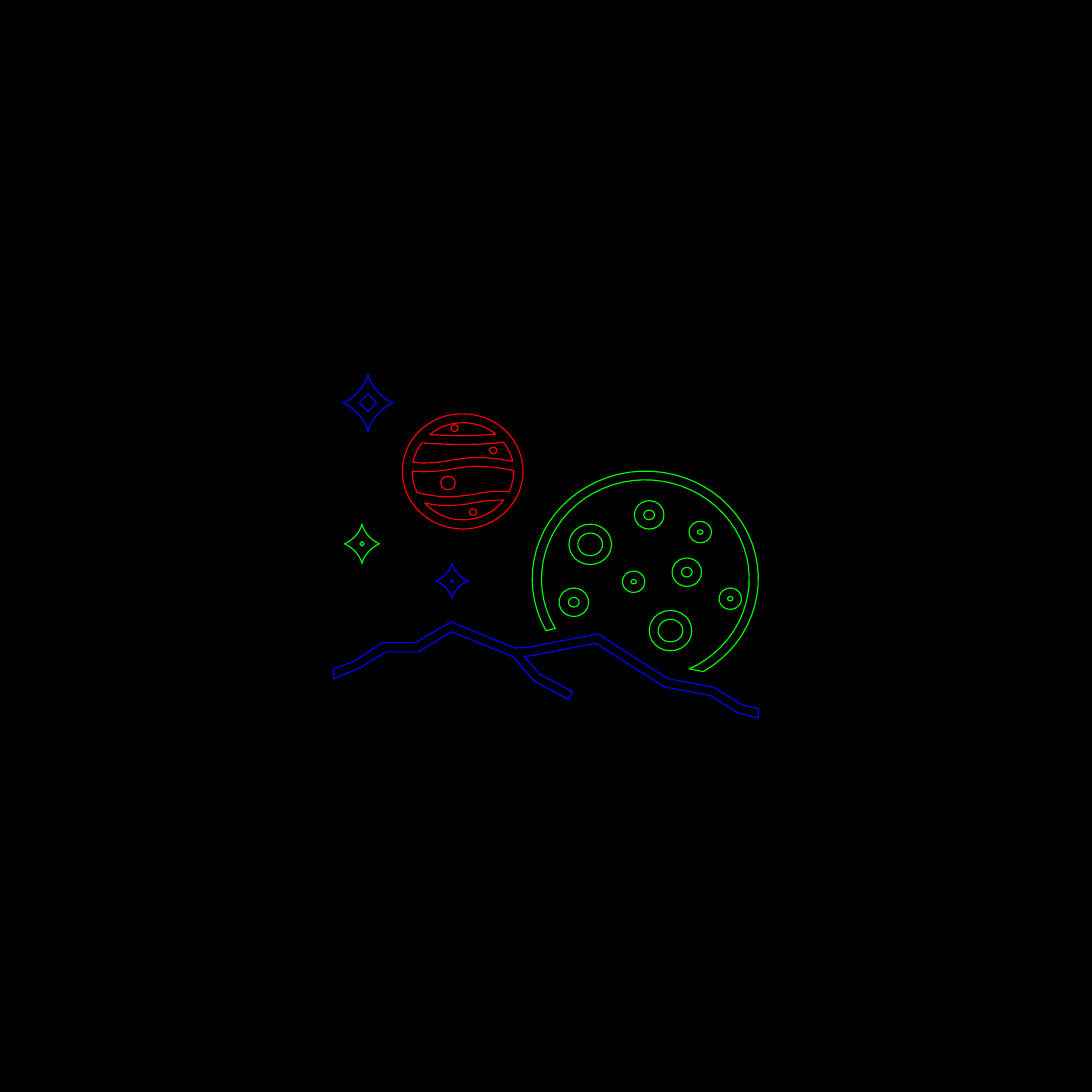
from dataclasses import dataclass
from typing import NamedTuple

from pptx import Presentation
from pptx.dml.color import RGBColor
from pptx.enum.shapes import MSO_SHAPE as Shape
from pptx.shapes.autoshape import Shape as AutoShape
from pptx.shapes.shapetree import GroupShapes
from pptx.util import Inches, Pt

BLACK = RGBColor(0x00, 0x00, 0x00)
RED = RGBColor(0xFF, 0x00, 0x00)
GREEN = RGBColor(0x00, 0xFF, 0x00)
BLUE = RGBColor(0x00, 0x00, 0xFF)
CURVE_STEPS = 16

Point = tuple[float, float]
Contour = list[tuple[float, ...]]


class CraterSize(NamedTuple):
    width: float
    height: float
    ring: float


class Crater(NamedTuple):
    left: float
    top: float
    size: CraterSize


class Spot(NamedTuple):
    left: float
    top: float
    width: float
    height: float


@dataclass
class Star:
    x: float
    y: float
    half_width: float
    half_height: float
    core: float
    color: RGBColor
    filled: bool = True


SMALL = CraterSize(0.41, 0.39, 0.4)
MEDIUM = CraterSize(0.54, 0.52, 0.33)
LARGE = CraterSize(0.78, 0.74, 0.22)

CRATERS = [
    Crater(13.17, 10.77, SMALL),
    Crater(12.62, 9.55, SMALL),
    Crater(12.31, 10.22, MEDIUM),
    Crater(11.89, 11.18, LARGE),
    Crater(11.62, 9.17, MEDIUM),
    Crater(11.4, 10.46, SMALL),
    Crater(10.42, 9.6, LARGE),
    Crater(10.24, 10.77, MEDIUM),
]
SPOTS = [
    Spot(8.97, 8.19, 0.13, 0.12),
    Spot(8.26, 7.78, 0.13, 0.12),
    Spot(8.6, 9.32, 0.13, 0.12),
    Spot(8.07, 8.72, 0.27, 0.25),
]
STARS = [
    Star(6.74, 7.38, 0.46, 0.52, 0.16, BLUE),
    Star(6.63, 9.96, 0.32, 0.36, 0.04, GREEN),
    Star(8.28, 10.64, 0.29, 0.32, 0.03, BLUE, filled=False),
]
MOON: Contour = [
    (10.17, 11.51),
    (9.65, 10.64, 9.96, 9.53, 10.87, 9.03),
    (11.78, 8.53, 12.94, 8.83, 13.47, 9.7),
    (13.99, 10.56, 13.68, 11.67, 12.77, 12.18),
    (12.72, 12.2, 12.67, 12.23, 12.62, 12.25),
    (12.88, 12.3),
    (13.86, 11.74, 14.18, 10.53, 13.6, 9.59),
    (13.01, 8.65, 11.74, 8.35, 10.76, 8.91),
    (9.8, 9.45, 9.47, 10.61, 10, 11.55),
]
RIDGE: Contour = [
    (13.89, 12.98), (13.59, 12.91), (13.08, 12.59), (12.23, 12.43),
    (10.95, 11.61), (9.71, 11.85), (9.43, 11.87), (8.26, 11.39),
    (7.61, 11.77), (7.01, 11.77), (6.49, 12.11), (6.11, 12.25),
    (6.11, 12.43), (6.56, 12.25), (7.07, 11.94), (7.66, 11.94),
    (8.27, 11.57), (9.4, 12.03), (9.78, 12.47), (10.41, 12.81),
    (10.49, 12.67), (9.89, 12.35), (9.6, 12.02), (9.73, 12.01),
    (10.91, 11.78), (12.17, 12.58), (13.01, 12.74), (13.52, 13.06),
    (13.89, 13.15),
]
PLANET_DISC: Contour = [
    (8.48, 7.58),
    (7.87, 7.57, 7.37, 8.04, 7.37, 8.63),
    (7.36, 9.21, 7.86, 9.68, 8.47, 9.69),
    (9.08, 9.69, 9.57, 9.22, 9.58, 8.64),
    (9.58, 8.05, 9.09, 7.58, 8.48, 7.58),
]
PLANET_BANDS: list[Contour] = [
    [
        (9.39, 8.45),
        (9.18, 8.41, 8.97, 8.38, 8.76, 8.38),
        (8.61, 8.38, 8.45, 8.4, 8.31, 8.42),
        (8.12, 8.46, 7.93, 8.48, 7.74, 8.48),
        (7.68, 8.48, 7.62, 8.47, 7.56, 8.46),
        (7.59, 8.34, 7.65, 8.21, 7.73, 8.11),
        (7.97, 8.13, 8.21, 8.14, 8.45, 8.14),
        (8.71, 8.14, 8.96, 8.13, 9.22, 8.1),
        (9.3, 8.2, 9.36, 8.32, 9.39, 8.45),
    ],
    [
        (9.08, 7.95),
        (8.88, 7.97, 8.66, 7.98, 8.45, 7.98),
        (8.24, 7.98, 8.05, 7.97, 7.87, 7.96),
        (8.22, 7.67, 8.73, 7.67, 9.08, 7.95),
    ],
    [
        (8.48, 9.52),
        (8.21, 9.52, 7.95, 9.41, 7.78, 9.21),
        (7.9, 9.24, 8.03, 9.26, 8.16, 9.26),
        (8.35, 9.26, 8.54, 9.24, 8.72, 9.2),
        (8.85, 9.18, 8.98, 9.16, 9.12, 9.16),
        (9.15, 9.16, 9.19, 9.16, 9.22, 9.16),
        (9.05, 9.39, 8.77, 9.52, 8.48, 9.52),
    ],
    [
        (9.32, 9.01),
        (9.25, 9, 9.18, 9, 9.11, 9),
        (8.97, 9, 8.83, 9.02, 8.69, 9.05),
        (8.51, 9.08, 8.34, 9.1, 8.16, 9.1),
        (8, 9.09, 7.84, 9.07, 7.69, 9.03),
        (7.64, 9.02),
        (7.58, 8.9, 7.55, 8.76, 7.55, 8.63),
        (7.61, 8.63, 7.68, 8.64, 7.74, 8.64),
        (7.94, 8.64, 8.14, 8.62, 8.33, 8.58),
        (8.47, 8.56, 8.62, 8.54, 8.76, 8.54),
        (8.98, 8.55, 9.19, 8.57, 9.41, 8.62),
        (9.41, 8.75, 9.38, 8.89, 9.32, 9.01),
    ],
]


def style(sp: AutoShape, color: RGBColor, filled: bool = True) -> None:
    sp.shadow.inherit = False
    if filled:
        sp.fill.solid()
        sp.fill.fore_color.rgb = BLACK
    else:
        sp.fill.background()
    sp.line.color.rgb = color
    sp.line.width = Pt(1.5)


def flatten(contour: Contour) -> list[Point]:
    points = [contour[0]]
    for segment in contour[1:]:
        if len(segment) == 2:
            points.append(segment)
            continue
        controls = [points[-1], segment[:2], segment[2:4], segment[4:]]
        for step in range(1, CURVE_STEPS + 1):
            t = step / CURVE_STEPS
            weights = ((1 - t) ** 3, 3 * t * (1 - t) ** 2, 3 * t**2 * (1 - t), t**3)
            points.append(tuple(
                sum(w * c[axis] for w, c in zip(weights, controls)) for axis in (0, 1)
            ))
    return [(Inches(x), Inches(y)) for x, y in points]


def add_outline(
    shapes: GroupShapes, contours: list[Contour], color: RGBColor, filled: bool = True
) -> None:
    first, *others = [flatten(contour) for contour in contours]
    builder = shapes.build_freeform(*first[0])
    builder.add_line_segments(first[1:], close=True)
    for points in others:
        builder.move_to(*points[0])
        builder.add_line_segments(points[1:], close=True)
    style(builder.convert_to_shape(), color, filled)


def add_crater(shapes: GroupShapes, crater: Crater) -> None:
    width, height, ring = crater.size
    box = map(Inches, (crater.left, crater.top, width, height))
    sp = shapes.add_shape(Shape.DONUT, *box)
    sp.adjustments[0] = ring
    style(sp, GREEN)


def add_star(shapes: GroupShapes, star: Star) -> None:
    def place(*ratios: float) -> tuple[float, ...]:
        origin, scale = (star.x, star.y), (star.half_width, star.half_height)
        return tuple(origin[i % 2] + scale[i % 2] * r for i, r in enumerate(ratios))

    x, y, core = star.x, star.y, star.core
    diamond = [(x, y - core), (x + core, y), (x, y + core), (x - core, y)]
    rays = [
        place(0, -1),
        place(-0.13, -0.57, -0.5, -0.2, -1, 0),
        place(-0.5, 0.2, -0.13, 0.57, 0, 1),
        place(0.13, 0.57, 0.5, 0.2, 1, 0),
        place(0.5, -0.2, 0.13, -0.57, 0, -1),
    ]
    add_outline(shapes, [diamond, rays], star.color, star.filled)


def main() -> None:
    prs = Presentation()
    prs.slide_width = prs.slide_height = Inches(20)
    slide = prs.slides.add_slide(prs.slide_layouts[6])
    slide.background.fill.solid()
    slide.background.fill.fore_color.rgb = BLACK
    shapes = slide.shapes.add_group_shape().shapes
    for crater in CRATERS:
        add_crater(shapes, crater)
    add_outline(shapes, [MOON], GREEN)
    add_outline(shapes, [RIDGE], BLUE)
    add_outline(shapes, [PLANET_DISC, *PLANET_BANDS], RED)
    for spot in SPOTS:
        style(shapes.add_shape(Shape.OVAL, *map(Inches, spot)), RED)
    for star in STARS:
        add_star(shapes, star)
    prs.save("out.pptx")


if __name__ == "__main__":
    main()
